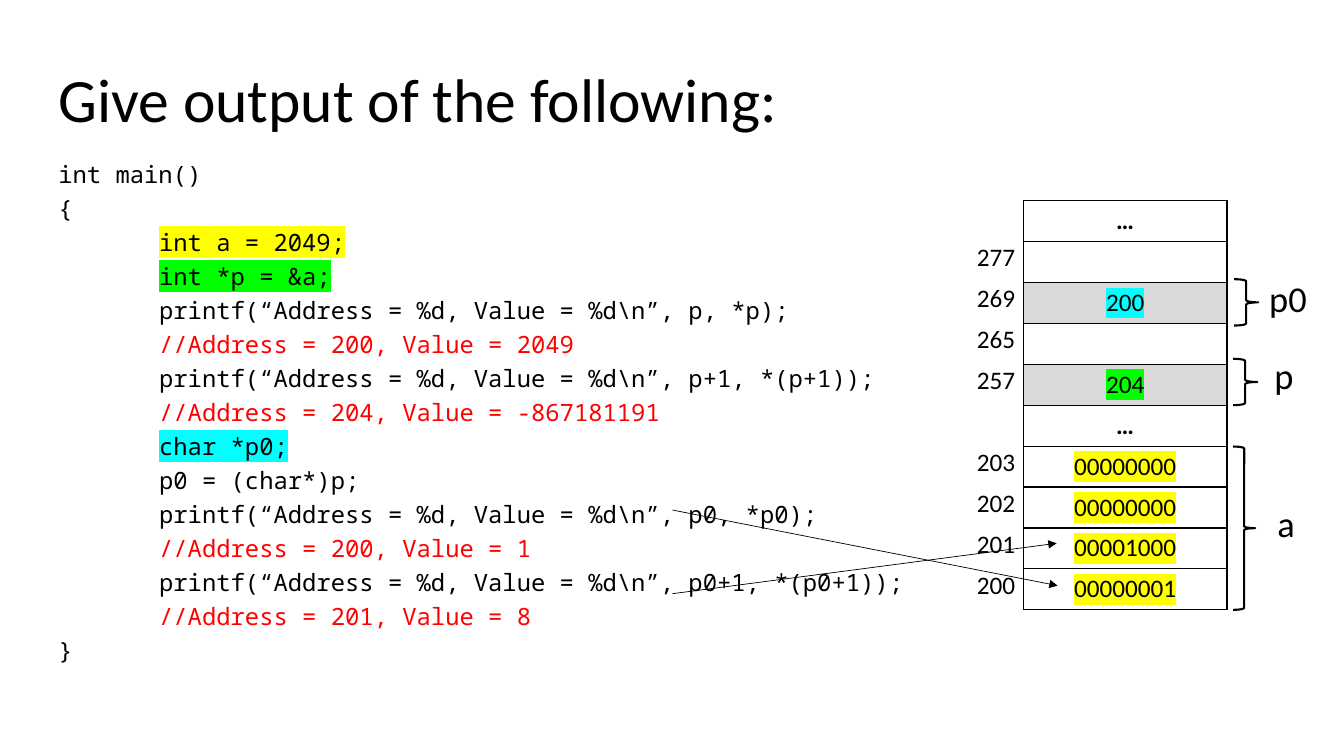
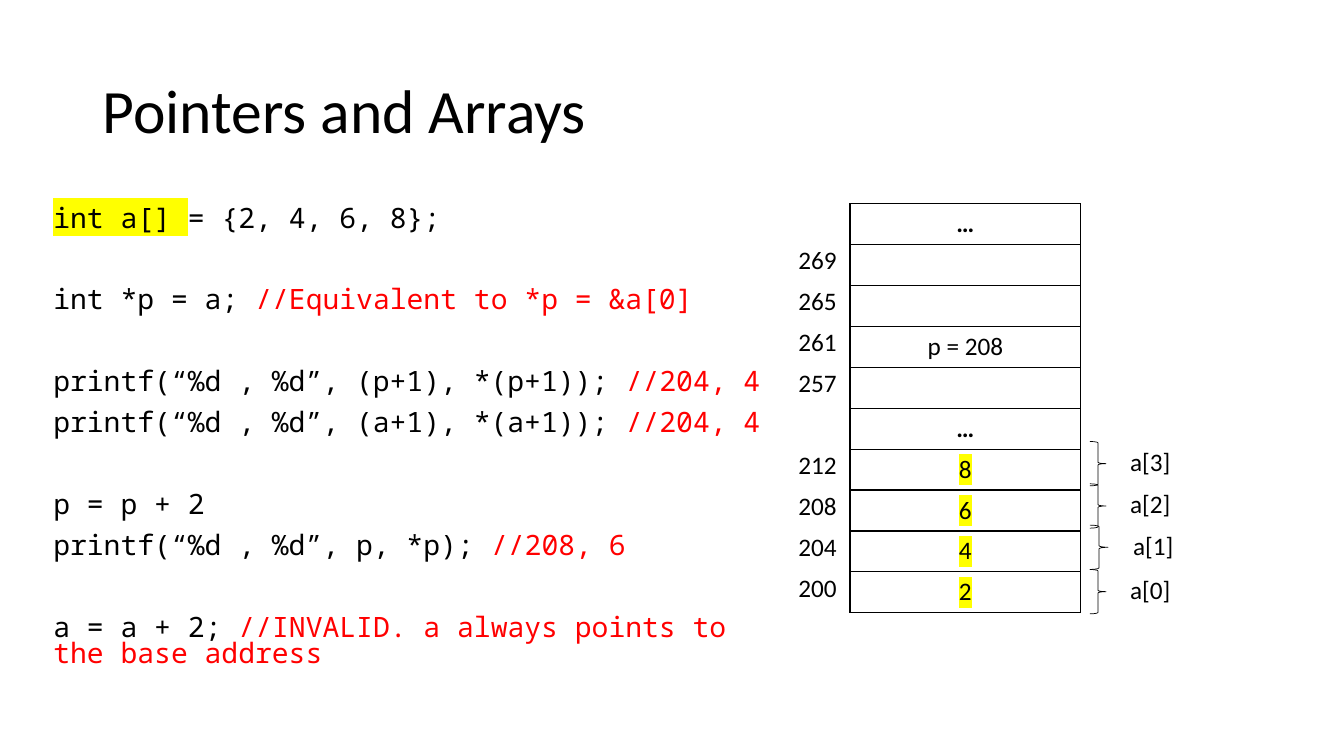
from lxml import etree
from pptx import Presentation
from pptx import util as u
from pptx.dml import color
from pptx.enum import shapes, text
from pptx.oxml import ns

BLACK, WHITE, GREY, RED = "000000", "FFFFFF", "D9D9D9", "FF0000"
YELLOW, GREEN, CYAN = "FFFF00", "00FF00", "00FFFF"
SANS, MONO = "Calibri", "Noto Sans Mono"
ROW = 4.06 / 10
GAP = 10


def rgb(code):
    return color.RGBColor.from_string(code)


def add(parent, tag, **attrs):
    return etree.SubElement(parent, ns.qn(tag), **attrs)


class Deck:
    """Holds the shared style and the current slide, and draws each kind of element."""

    def __init__(self):
        self.prs = Presentation()
        self.prs.slide_width = u.Inches(13.33)
        self.prs.slide_height = u.Inches(7.5)

    def start(self, title, left, top):
        self.slide = self.prs.slides.add_slide(self.prs.slide_layouts[6])
        frame = self.box(left, top, 11.5, 1.45)
        frame.vertical_anchor = text.MSO_ANCHOR.MIDDLE
        frame.paragraphs[0].line_spacing = 0.9
        self.run(frame.paragraphs[0], title, 44)

    def box(self, left, top, width, height):
        spot = map(u.Inches, (left, top, width, height))
        frame = self.slide.shapes.add_textbox(*spot).text_frame
        frame.word_wrap = True
        return frame

    def run(self, para, words, size, font=SANS, ink=BLACK, mark=None, bold=False):
        run = para.add_run()
        run.text = words
        run.font.size = u.Pt(size)
        run.font.bold = bold
        run.font.color.rgb = rgb(ink)
        if mark:
            props = run.font.fill._xPr
            light = etree.Element(ns.qn("a:highlight"))
            add(light, "a:srgbClr", val=mark)
            props.find(ns.qn("a:solidFill")).addnext(light)
        run.font.name = font

    def label(self, words, left, top, size=18):
        self.run(self.box(left, top, 0.8, 0.4).paragraphs[0], words, size)

    def code(self, lines, spot, size, lead, marks):
        frame = self.box(*spot)
        pitch = size * 1.2 * lead + GAP
        para, skip = frame.paragraphs[0], 0
        for line in lines:
            if line is None:
                skip += 1
                continue
            if para.runs:
                para = frame.add_paragraph()
                para.space_before = u.Pt(round(GAP + skip * pitch, 1))
            para.line_spacing, skip = lead, 0
            if line.startswith("\t"):
                tabs = add(para._p.get_or_add_pPr(), "a:tabLst")
                add(tabs, "a:tab", pos=str(u.Inches(1)), algn="l")
            key = next((m for m in marks if m in line), "")
            plain, slash, note = line.partition("//")
            if key:
                head, _, plain = plain.partition(key)
                if head:
                    self.run(para, head, size, MONO)
                self.run(para, key, size, MONO, mark=marks[key])
            if plain:
                self.run(para, plain, size, MONO)
            if slash:
                self.run(para, slash + note, size, MONO, RED)

    def memory(self, cells, left, top, width, shift):
        spot = map(u.Inches, (left, top, width, ROW * len(cells)))
        table = self.slide.shapes.add_table(len(cells), 1, *spot).table
        table.first_row = table.horz_banding = False
        for row, (addr, words, mark, fill) in enumerate(cells):
            table.rows[row].height = u.Inches(ROW)
            self.cell(table.cell(row, 0), words, mark, fill)
            if addr:
                self.label(addr, left - shift, top - 0.05 + row * ROW)

    def cell(self, cell, words, mark, fill):
        para = cell.text_frame.paragraphs[0]
        para.alignment = text.PP_ALIGN.CENTER
        para.font.size = u.Pt(18)
        if words:
            self.run(para, words, 18, mark=mark, bold=words == "…")
        props = cell._tc.get_or_add_tcPr()
        for side in ("a:lnL", "a:lnR", "a:lnT", "a:lnB"):
            edge = add(props, side, w=str(u.Pt(1)))
            add(add(edge, "a:solidFill"), "a:srgbClr", val=BLACK)
        cell.fill.solid()
        cell.fill.fore_color.rgb = rgb(fill)

    def brace(self, left, top, width, height, weight):
        spot = map(u.Inches, (left, top, width, height))
        brace = self.slide.shapes.add_shape(shapes.MSO_SHAPE.RIGHT_BRACE, *spot)
        brace.shadow.inherit = False
        brace.fill.background()
        brace.line.color.rgb = rgb(BLACK)
        brace.line.width = u.Pt(weight)

    def arrow(self, *ends):
        kind = shapes.MSO_CONNECTOR.STRAIGHT
        line = self.slide.shapes.add_connector(kind, *map(u.Inches, ends))
        line.line.color.rgb = rgb(BLACK)
        line.line.width = u.Pt(0.5)
        add(line.line._get_or_add_ln(), "a:tailEnd", type="triangle")
        add(line._element.spPr, "a:effectLst")


def output(deck):
    deck.start("Give output of the following:", 0.48, 0.29)
    show = "\tprintf(“Address = %d, Value = %d\\n”, "
    lines = [
        "int main()",
        "{",
        "\tint a = 2049;",
        "\tint *p = &a;",
        show + "p, *p);",
        "\t//Address = 200, Value = 2049",
        show + "p+1, *(p+1));",
        "\t//Address = 204, Value = -867181191",
        "\tchar *p0;",
        "\tp0 = (char*)p;",
        show + "p0, *p0);",
        "\t//Address = 200, Value = 1",
        show + "p0+1, *(p0+1));",
        "\t//Address = 201, Value = 8",
        "}",
    ]
    marks = {"int a = 2049;": YELLOW, "int *p = &a;": GREEN, "char *p0;": CYAN}
    deck.code(lines, (0.48, 1.61, 9.05, 5.38), 17, 0.7, marks)
    cells = [
        ("", "…", None, WHITE),
        ("277", "", None, WHITE),
        ("269", "200", CYAN, GREY),
        ("265", "", None, WHITE),
        ("257", "204", GREEN, GREY),
        ("", "…", None, WHITE),
        ("203", "00000000", YELLOW, WHITE),
        ("202", "00000000", YELLOW, WHITE),
        ("201", "00001000", YELLOW, WHITE),
        ("200", "00000001", YELLOW, WHITE),
    ]
    deck.memory(cells, 10.15, 1.99, 2.02, 0.56)
    for name, left, top, brace in (
        ("a", 12.57, 4.92, (12.23, 4.43, 0.22, 1.62)),
        ("p", 12.54, 3.45, (12.23, 3.56, 0.24, 0.46)),
        ("p0", 12.49, 2.69, (12.24, 2.77, 0.24, 0.46)),
    ):
        deck.brace(*brace, 1.5)
        deck.label(name, left, top, 26)
    deck.arrow(6.67, 5.06, 10.49, 5.81)
    deck.arrow(6.67, 5.89, 10.48, 5.39)


def arrays(deck):
    deck.start("Pointers and Arrays", 0.92, 0.4)
    lines = [
        "int a[] = {2, 4, 6, 8};",
        None,
        "int *p = a; //Equivalent to *p = &a[0]",
        None,
        "printf(“%d , %d”, (p+1), *(p+1)); //204, 4",
        "printf(“%d , %d”, (a+1), *(a+1)); //204, 4",
        None,
        "p = p + 2",
        "printf(“%d , %d”, p, *p); //208, 6",
        None,
        "a = a + 2; //INVALID. a always points to the base address",
    ]
    deck.code(lines, (0.43, 2, 7.22, 4.76), 20, 0.8, {"int a[] ": YELLOW})
    cells = [
        ("", "…", None, WHITE),
        ("269", "", None, WHITE),
        ("265", "", None, WHITE),
        ("261", "p = 208", None, WHITE),
        ("257", "", None, WHITE),
        ("", "…", None, WHITE),
        ("212", "8", YELLOW, WHITE),
        ("208", "6", YELLOW, WHITE),
        ("204", "4", YELLOW, WHITE),
        ("200", "2", YELLOW, WHITE),
    ]
    deck.memory(cells, 8.43, 2.02, 2.29, 0.61)
    spots = ((5.65, 0.16, 11.11), (5.21, 0.18, 11.14), (4.8, 0.16, 11.11), (4.38, 0.16, 11.11))
    for i, (top, width, left) in enumerate(spots):
        deck.brace(10.81, top, width, 0.44, 0.5)
        deck.label(f"a[{i}]", left, top)


def main():
    deck = Deck()
    output(deck)
    arrays(deck)
    deck.prs.save("out.pptx")


if __name__ == "__main__":
    main()
